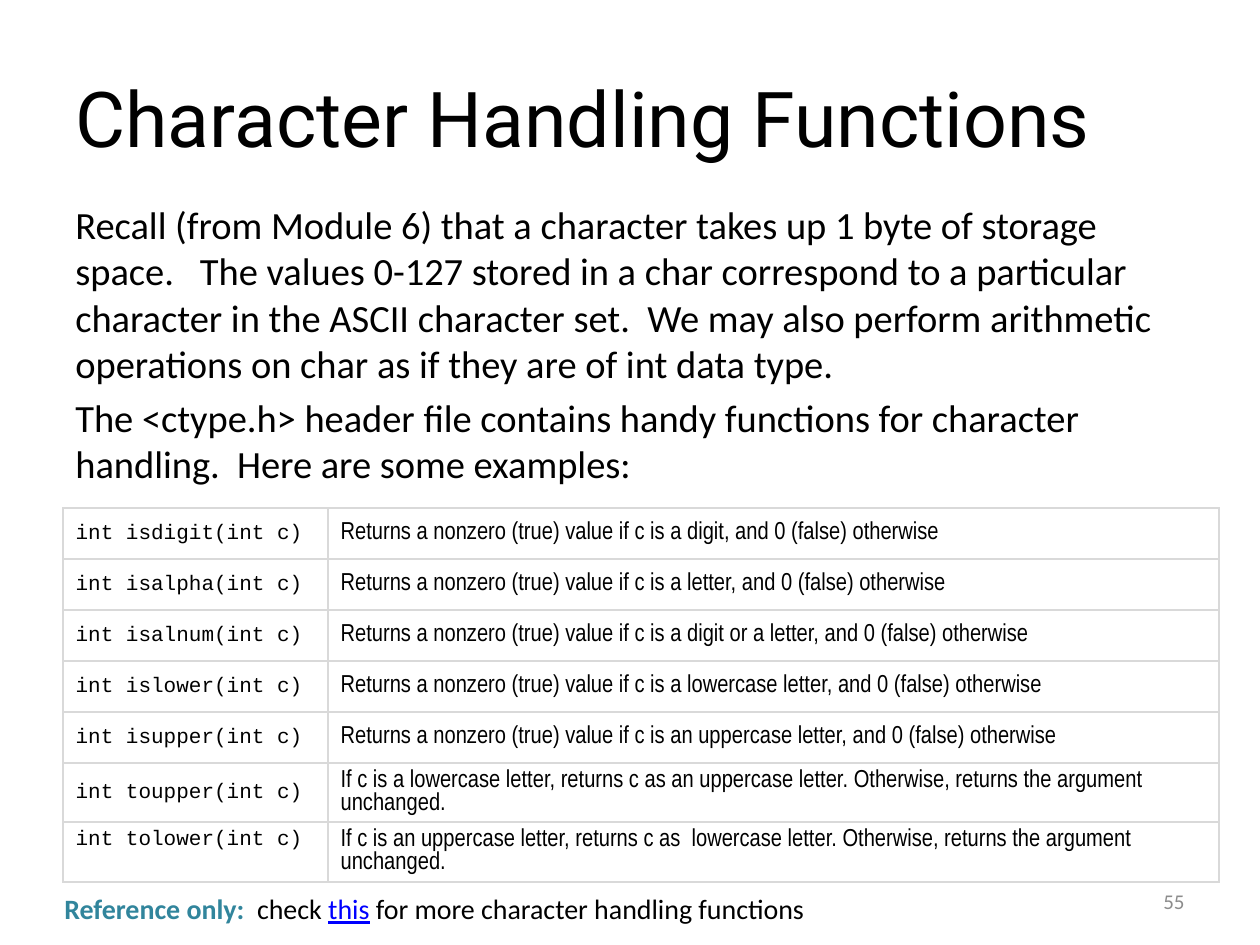
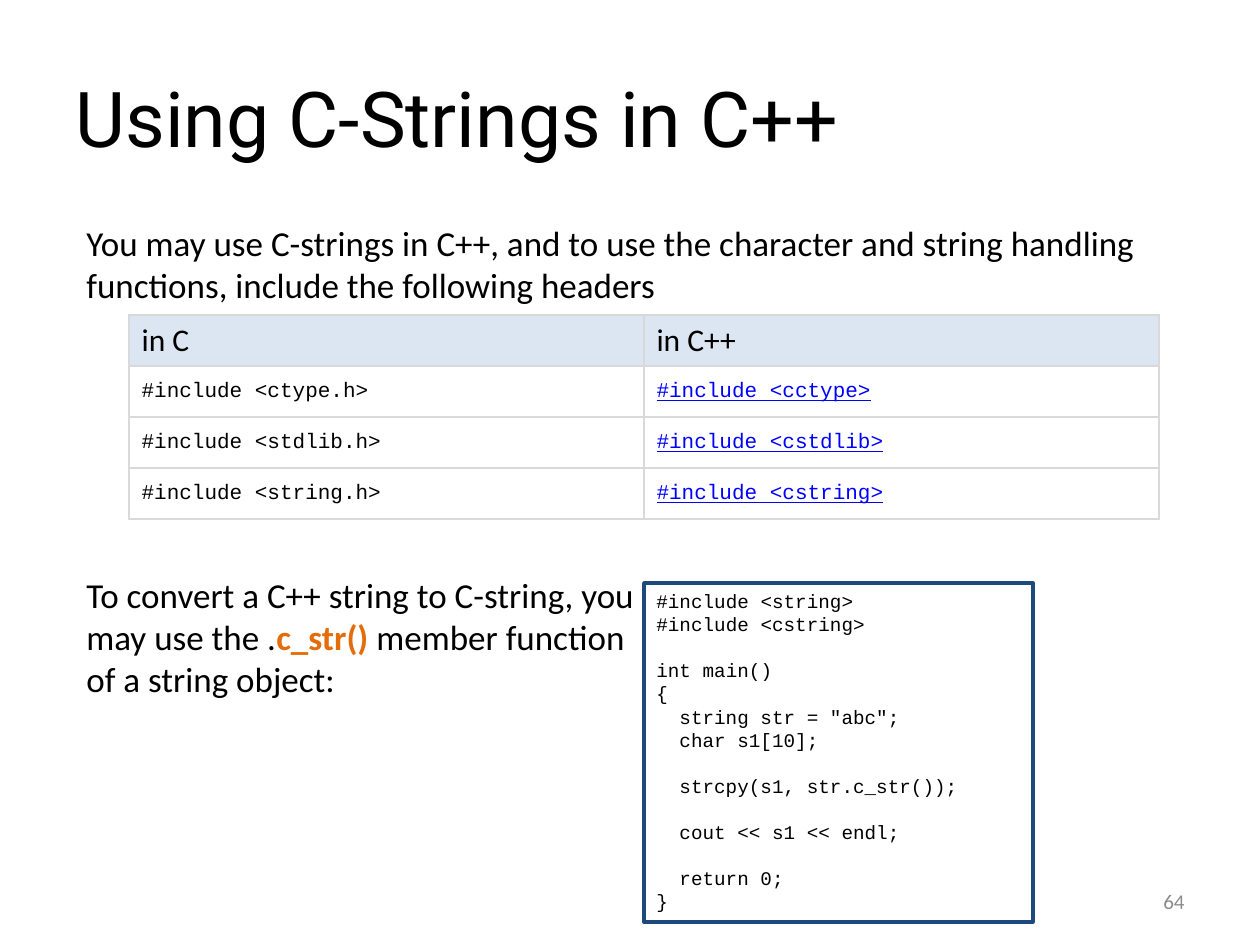
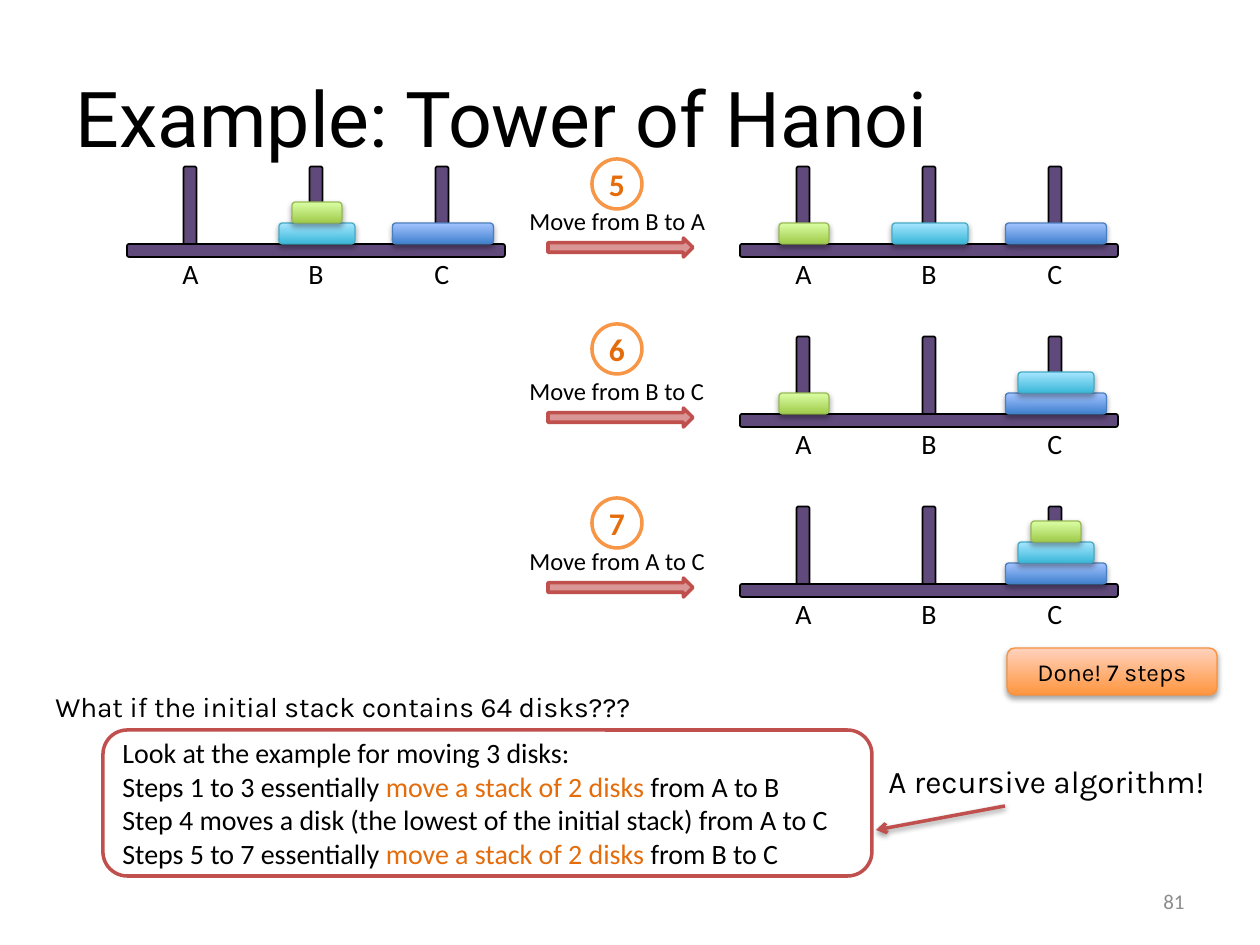
import pptx
import pptx.dml.color
import pptx.enum.shapes
import pptx.enum.text
import pptx.oxml.ns
import pptx.util
from lxml import etree

RGBColor = pptx.dml.color.RGBColor
SHAPE = pptx.enum.shapes.MSO_SHAPE
ALIGN = pptx.enum.text.PP_ALIGN
ANCHOR = pptx.enum.text.MSO_ANCHOR
AUTO_SIZE = pptx.enum.text.MSO_AUTO_SIZE
qn = pptx.oxml.ns.qn

# Shared look
EMU_PER_PIXEL = 914400 / 126
BLACK = RGBColor(0x00, 0x00, 0x00)
WHITE = RGBColor(0xFF, 0xFF, 0xFF)
GREY = RGBColor(0x8C, 0x8C, 0x8C)
BORDER = RGBColor(0xD9, 0xD9, 0xD9)
HEADER_BLUE = RGBColor(0xDC, 0xE6, 0xF2)
NAVY = RGBColor(0x1F, 0x49, 0x7D)
LINK_BLUE = RGBColor(0x00, 0x00, 0xFF)
TEAL = RGBColor(0x31, 0x85, 0x9C)
ORANGE = RGBColor(0xE4, 0x6C, 0x0A)
RING_ORANGE = RGBColor(0xF7, 0x96, 0x46)
RED = RGBColor(0xC0, 0x50, 0x4D)
PINK = RGBColor(0xD9, 0x96, 0x94)
PURPLE = RGBColor(0x60, 0x4A, 0x7B)
# Gradients: bottom colour, top colour, outline
BLUE_DISK = (RGBColor(0x3F, 0x80, 0xCE), RGBColor(0xA4, 0xC4, 0xFF), RGBColor(0x4B, 0x7E, 0xBC))
CYAN_DISK = (RGBColor(0x39, 0xB7, 0xD8), RGBColor(0xA7, 0xE6, 0xFF), RGBColor(0x46, 0xAA, 0xC5))
GREEN_DISK = (RGBColor(0xA0, 0xCA, 0x4A), RGBColor(0xDA, 0xFF, 0xA5), RGBColor(0x98, 0xB9, 0x55))
ORANGE_BADGE = (RGBColor(0xFF, 0x95, 0x3E), RGBColor(0xFF, 0xD2, 0xBD), RGBColor(0xF6, 0x92, 0x40))
SANS, MONO, NARROW, ROUND, TITLE = "Calibri", "Courier New", "Arial Narrow", "Karla", "Roboto"
LINK = {"color": LINK_BLUE, "underline": True}
ACCENT = {"color": ORANGE}

# Content: a paragraph is a list of runs, a run is text or (text, style)
CHARACTER_TEXT = [
    ["Recall (from Module 6) that a character takes up 1 byte of storage space.   The values "
     "0-127 stored in a char correspond to a particular character in the ASCII character set.  "
     "We may also perform arithmetic operations on char as if they are of int data type."],
    ["The <ctype.h> header file contains handy functions for character handling.  "
     "Here are some examples:"],
]
TESTS = [
    ("isdigit", "a digit"),
    ("isalpha", "a letter"),
    ("isalnum", "a digit or a letter"),
    ("islower", "a lowercase letter"),
    ("isupper", "an uppercase letter"),
]
CONVERSIONS = [
    ("toupper", "a lowercase letter, returns c as an uppercase letter"),
    ("tolower", "an uppercase letter, returns c as  lowercase letter"),
]
REFERENCE = [[("Reference only:  ", {"color": TEAL, "bold": True}), "check ", ("this", LINK),
              " for more character handling functions"]]

HEADER_TEXT = [["You may use C-strings in C++, and to use the character and string handling "
                "functions, include the following headers"]]
HEADERS = [("ctype.h", "cctype"), ("stdlib.h", "cstdlib"), ("string.h", "cstring")]
CONVERT_TEXT = [["To convert a C++ string to C-string, you may use the .",
                 ("c_str() ", {"color": ORANGE, "bold": True}),
                 "member function of a string object:"]]
# Code blocks are set apart by a line; (indent level, text)
CODE_BLOCKS = [
    [(0, "#include <string>"), (0, "#include <cstring>")],
    [(0, "int main()"), (0, "{"), (1, 'string str = "abc";'), (1, "char s1[10];")],
    [(1, "strcpy(s1, str.c_str());")],
    [(1, "cout << s1 << endl;")],
    [(1, "return 0;"), (0, "}")],
]

PEGS = "ABC"
# Disks, largest first: width, colours
DISKS = [(101, BLUE_DISK), (76, CYAN_DISK), (50, GREEN_DISK)]
START_PEGS = "CBB"
# Number, ring top, base top, move, peg of each disk afterwards
STEPS = [
    ("5", 159, 244, "Move from B to A", "CBA"),
    ("6", 324, 414, "Move from B to C", "CCA"),
    ("7", 498, 584, "Move from A to C", "CCC"),
]
RECURSION_TEXT = [
    ["Look at the example for moving 3 disks:"],
    ["Steps 1 to 3 essentially ", ("move a stack of 2 disks ", ACCENT), "from A to B"],
    ["Step 4 moves a disk (the lowest of the initial stack) from A to C"],
    ["Steps 5 to 7 essentially ", ("move a stack of 2 disks", ACCENT), " from B to C"],
]


def px(*values):
    return [round(value * EMU_PER_PIXEL) for value in values]


def write(frame, paragraphs, size, font=SANS, color=BLACK, align=ALIGN.LEFT,
          anchor=ANCHOR.TOP, wrap=True, grow=False, space_before=0):
    frame.word_wrap = wrap
    frame.vertical_anchor = anchor
    frame.auto_size = AUTO_SIZE.SHAPE_TO_FIT_TEXT if grow else AUTO_SIZE.NONE
    for index, runs in enumerate(paragraphs):
        paragraph = frame.paragraphs[0] if index == 0 else frame.add_paragraph()
        write_runs(paragraph, runs, size, font, color, align)
        if space_before:
            paragraph.space_before = pptx.util.Pt(space_before)


def write_runs(paragraph, runs, size, font=SANS, color=BLACK, align=ALIGN.LEFT):
    paragraph.alignment = align
    for item in runs:
        text, style = (item, {}) if isinstance(item, str) else item
        run = paragraph.add_run()
        run.text = text
        run.font.size = pptx.util.Pt(size)
        run.font.name = font
        run.font.color.rgb = style.get("color", color)
        run.font.bold = style.get("bold", False)
        run.font.underline = style.get("underline", False)


def add_text(shapes, box, paragraphs, size, **options):
    text_box = shapes.add_textbox(*px(*box))
    write(text_box.text_frame, paragraphs, size, **options)
    return text_box


def add_shadow(effects, opacity, distance):
    shadow = etree.SubElement(effects, qn("a:outerShdw"), blurRad="40000", dist=str(distance),
                              dir="5400000", rotWithShape="0")
    color = etree.SubElement(shadow, qn("a:srgbClr"), val="000000")
    etree.SubElement(color, qn("a:alpha"), val=str(opacity * 1000))


def add_shape(shapes, kind, box, fill=None, line=None, width=1):
    shape = shapes.add_shape(kind, *px(*box))
    shape.shadow.inherit = False
    if fill is None:
        shape.fill.background()
    else:
        shape.fill.solid()
        shape.fill.fore_color.rgb = fill
    if line is None:
        shape.line.fill.background()
    else:
        shape.line.color.rgb = line
        shape.line.width = pptx.util.Pt(width)
    return shape


def add_glossy(shapes, box, colors):
    bottom, top, outline = colors
    shape = add_shape(shapes, SHAPE.ROUNDED_RECTANGLE, box, bottom, outline, 0.75)
    shape.fill.gradient()
    shape.fill.gradient_angle = 90
    for stop, color in zip(shape.fill.gradient_stops, (bottom, top)):
        stop.color.rgb = color
    add_shadow(shape._element.spPr.find(qn("a:effectLst")), 35, 23000)
    return shape


def add_table(slide, left, top, widths, row_height, rows):
    """Each cell is (runs, size, font, fill)."""
    frame = slide.shapes.add_table(len(rows), len(widths),
                                   *px(left, top, sum(widths), row_height * len(rows)))
    table = frame.table
    table.first_row = table.horz_banding = False
    for column, width in zip(table.columns, widths):
        column.width = px(width)[0]
    for row_index, row in enumerate(rows):
        table.rows[row_index].height = px(row_height)[0]
        for column_index, (runs, size, font, fill) in enumerate(row):
            cell = table.cell(row_index, column_index)
            cell.vertical_anchor = ANCHOR.MIDDLE
            write_runs(cell.text_frame.paragraphs[0], runs, size, font)
            add_borders(cell)
            if fill is None:
                cell.fill.background()
            else:
                cell.fill.solid()
                cell.fill.fore_color.rgb = fill
    return table


def add_borders(cell):
    properties = cell._tc.get_or_add_tcPr()
    for side in ("a:lnL", "a:lnR", "a:lnT", "a:lnB"):
        line = etree.SubElement(properties, qn(side), w="12700")
        fill = etree.SubElement(line, qn("a:solidFill"))
        etree.SubElement(fill, qn("a:srgbClr"), val=str(BORDER))


def add_slide(title, number):
    slide = presentation.slides.add_slide(presentation.slide_layouts[5])
    placeholder = slide.shapes.title
    placeholder.left, placeholder.top, placeholder.width, placeholder.height = px(63, 38, 1134, 157)
    write(placeholder.text_frame, [[title]], 44, font=TITLE, anchor=ANCHOR.MIDDLE)
    add_text(slide.shapes, (903, 876, 294, 50), [[number]], 12, color=GREY,
             align=ALIGN.RIGHT, anchor=ANCHOR.MIDDLE)
    return slide


def add_tower(shapes, left, top, disk_pegs):
    """Draw pegs, base, letters and disks; left and top are those of the base."""
    centers = {peg: left + 63 + 126 * index for index, peg in enumerate(PEGS)}
    for center in centers.values():
        pole = add_shape(shapes, SHAPE.ROUNDED_RECTANGLE, (center - 44, top - 40, 88, 13),
                         PURPLE, BLACK)
        pole.rotation = 90
    add_shape(shapes, SHAPE.ROUNDED_RECTANGLE, (left, top, 378, 13), PURPLE, BLACK)
    for peg, center in centers.items():
        add_text(shapes, (center - 20, top + 6, 42, 47), [[peg]], 16, wrap=False, grow=True)
    heights = dict.fromkeys(PEGS, 0)
    for (width, colors), peg in zip(DISKS, disk_pegs):
        heights[peg] += 21
        add_glossy(shapes, (centers[peg] + 1 - width / 2, top - heights[peg], width, 21), colors)


presentation = pptx.Presentation()
presentation.slide_width, presentation.slide_height = px(1260, 945)

# Character functions
slide = add_slide("Character Handling Functions", "55")
add_text(slide.shapes, (63, 195, 1134, 624), CHARACTER_TEXT, 22, space_before=4.4)
descriptions = [(name, f"Returns a nonzero (true) value if c is {kind}, and 0 (false) otherwise")
                for name, kind in TESTS]
descriptions += [(name, f"If c is {rule}. Otherwise, returns the argument unchanged.")
                 for name, rule in CONVERSIONS]
table = add_table(slide, 63, 508, (265, 891), 51,
                  [(([f"int {name}(int c)"], 12, MONO, None), ([text], 14, NARROW, None))
                   for name, text in descriptions])
table.cell(len(descriptions) - 1, 0).margin_bottom = px(30)[0]
add_text(slide.shapes, (52, 885, 769, 47), REFERENCE, 16, wrap=False, grow=True)

# C-strings in C++
slide = add_slide("Using C-Strings in C++", "64")
add_text(slide.shapes, (74, 215, 1134, 624), HEADER_TEXT, 20, space_before=4)
rows = [[([text], 18, SANS, HEADER_BLUE) for text in ("in C", "in C++")]]
rows += [(([f"#include <{c_name}>"], 12, MONO, None),
          ([(f"#include <{cpp_name}>", LINK)], 12, MONO, None)) for c_name, cpp_name in HEADERS]
add_table(slide, 129, 315, (515, 515), 51, rows)

code_box = add_shape(slide.shapes, SHAPE.RECTANGLE, (644, 583, 389, 339), WHITE, NAVY, 2)
lines = [line for block in CODE_BLOCKS for line in block]
write(code_box.text_frame, [[text] for _, text in lines], 11, font=MONO, grow=True)
block_starts = [block[0] for block in CODE_BLOCKS[1:]]
for paragraph, line in zip(code_box.text_frame.paragraphs, lines):
    if line[0]:
        paragraph._p.get_or_add_pPr().set("marL", str(pptx.util.Pt(13.2)))
    if line in block_starts:
        paragraph.space_before = pptx.util.Pt(13.2)
add_text(slide.shapes, (74, 567, 590, 140), CONVERT_TEXT, 20, grow=True)

# Tower of Hanoi
slide = add_slide("Example: Tower of Hanoi", "81")
add_tower(slide.shapes.add_group_shape().shapes, 127, STEPS[0][2], START_PEGS)
for number, ring_top, base_top, move, disk_pegs in STEPS:
    group = slide.shapes.add_group_shape().shapes
    add_shape(group, SHAPE.RIGHT_ARROW, (548, base_top - 6, 145, 19), PINK, RED, 2)
    add_text(group, (517, base_top - 44, 202, 43), [[move]], 14, wrap=False, grow=True)
    add_tower(group, 740, base_top, disk_pegs)
    ring = add_shape(slide.shapes, SHAPE.OVAL, (592, ring_top, 50, 50), None, RING_ORANGE, 2)
    frame = ring.text_frame
    frame.margin_left = frame.margin_top = frame.margin_right = frame.margin_bottom = 0
    write(frame, [[(number, {"color": ORANGE, "bold": True})]], 18, align=ALIGN.CENTER,
          anchor=ANCHOR.MIDDLE, wrap=False)

# Conclusions
badge = add_glossy(slide.shapes, (1007, 648, 210, 47), ORANGE_BADGE)
write(badge.text_frame, [["Done! 7 steps"]], 14, font=ROUND, align=ALIGN.CENTER,
      anchor=ANCHOR.MIDDLE)
question = add_shape(slide.shapes, SHAPE.RECTANGLE, (43, 683, 670, 47), WHITE)
write(question.text_frame, [["What if the initial stack contains 64 disks???"]], 16, font=ROUND,
      wrap=False, grow=True)
summary = add_shape(slide.shapes, SHAPE.ROUNDED_RECTANGLE, (103, 730, 769, 146), WHITE, RED, 2)
write(summary.text_frame, RECURSION_TEXT, 16, anchor=ANCHOR.MIDDLE)
add_text(slide.shapes, (876, 756, 384, 50), [["A recursive algorithm!"]], 18, font=ROUND,
         wrap=False, grow=True)
pointer = slide.shapes.add_connector(pptx.enum.shapes.MSO_CONNECTOR.STRAIGHT,
                                     *px(1005, 806, 876, 830))
pointer.line.color.rgb = RED
pointer.line.width = pptx.util.Pt(2)
etree.SubElement(pointer.line._get_or_add_ln(), qn("a:tailEnd"), type="arrow")
add_shadow(etree.SubElement(pointer._element.spPr, qn("a:effectLst")), 38, 20000)

presentation.save("out.pptx")
